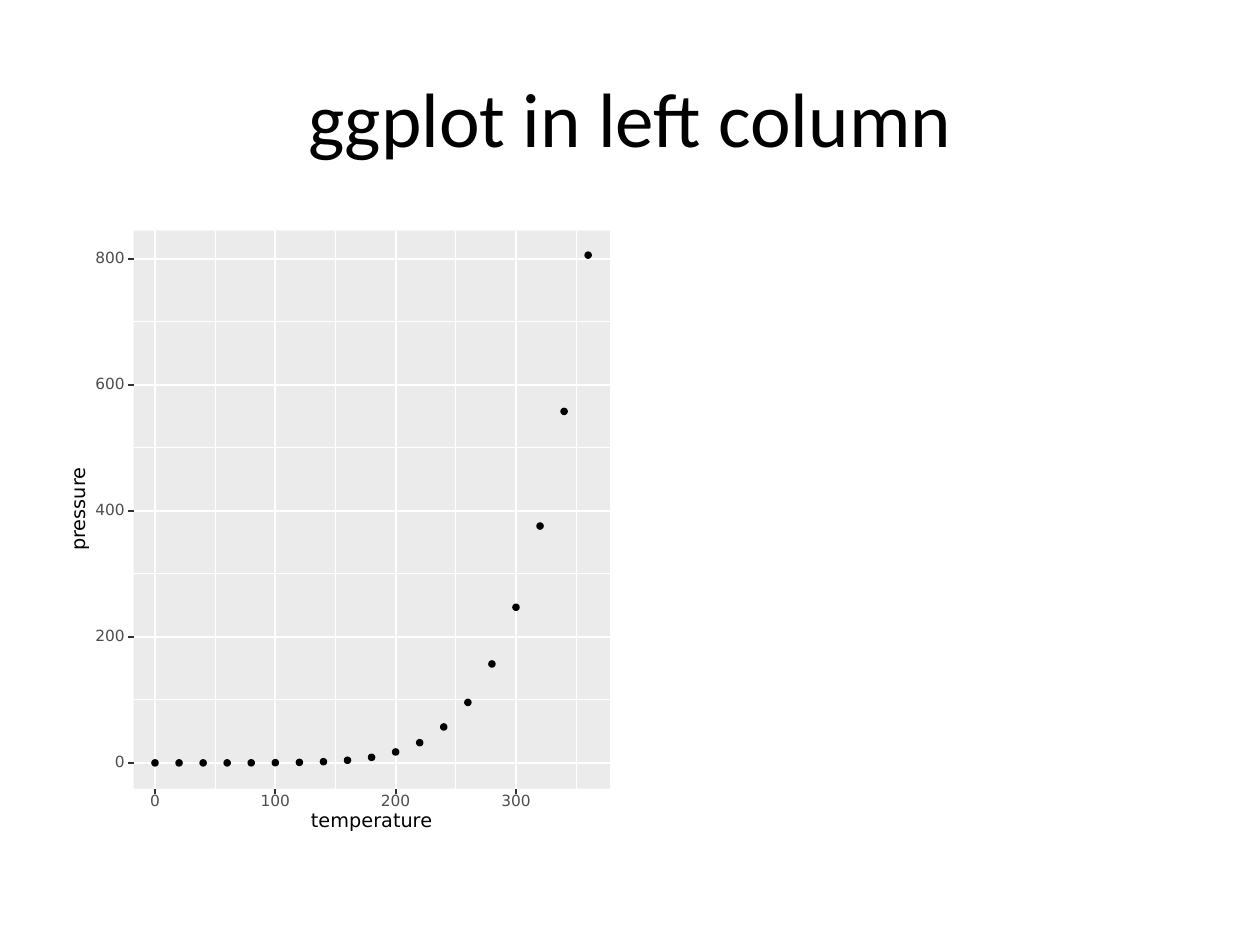
from dataclasses import dataclass

from pptx import Presentation, util as u
from pptx.dml.color import RGBColor
from pptx.enum import shapes, text
from pptx.oxml import parse_xml
from pptx.oxml.ns import nsdecls


@dataclass(frozen=True)
class Theme:
    black: str = "000000"
    white: str = "FFFFFF"
    panel: str = "EBEBEB"
    tick: str = "333333"
    label: str = "4D4D4D"
    head_font: str = "Calibri"
    plot_font: str = "DejaVu Sans"
    head_size: float = 44
    axis_size: float = 11
    label_size: float = 8.8
    major: float = 1.07
    minor: float = 0.53
    ring: float = 0.71


@dataclass(frozen=True)
class Box:
    left: float
    top: float
    width: float
    height: float

    @property
    def right(self) -> float:
        return self.left + self.width

    @property
    def base(self) -> float:
        return self.top + self.height

    def emu(self) -> list:
        return [u.Inches(n) for n in (self.left, self.top, self.width, self.height)]


THEME = Theme()
ALIGN = text.PP_ALIGN
FRAME = Box(0.5, 1.75, 4.42, 4.95)
PANEL = Box(1.06, 1.83, 3.78, 4.43)
TICK = 0.04
DOT = 0.05
DIGIT = 0.08
TEXT_H = 0.09

# Vapour pressure at every 20 degrees, from 0 to 360
STEP = 20
PRESSURE = [0, 0, 0, 0, 0.1, 0.3, 0.8, 1.9, 4.2, 8.8, 17.3, 32.1,
            57, 96, 157, 247, 376, 558, 806]


def x_at(temp: float) -> float:
    return 1.23 + temp * 0.955 / 100


def y_at(press: float) -> float:
    return 6.055 - press / 200


def color(code: str) -> RGBColor:
    return RGBColor.from_string(code)


def add_shape(group, kind, box: Box, fill: str, line: str = "",
              width: float = 0) -> None:
    item = group.shapes.add_shape(kind, *box.emu())
    item.shadow.inherit = False
    item.fill.solid()
    item.fill.fore_color.rgb = color(fill)
    if line:
        item.line.color.rgb = color(line)
        item.line.width = u.Pt(width)
    else:
        item.line.fill.background()


def add_line(group, x1: float, y1: float, x2: float, y2: float,
             hue: str, width: float) -> None:
    ends = [u.Inches(n) for n in (x1, y1, x2, y2)]
    line = group.shapes.add_connector(shapes.MSO_CONNECTOR.STRAIGHT, *ends)
    line.line.color.rgb = color(hue)
    line.line.width = u.Pt(width)
    line._element.spPr.append(parse_xml(f"<a:effectLst {nsdecls('a')}/>"))


def style(run, font: str, size: float, hue: str) -> None:
    run.font.name = font
    run.font.size = u.Pt(size)
    run.font.color.rgb = color(hue)


def add_text(group, words: str, box: Box, size: float, hue: str,
             align=ALIGN.CENTER, turn: int = 0) -> None:
    item = group.shapes.add_textbox(*box.emu())
    item.rotation = turn
    frame = item.text_frame
    frame.margin_left = frame.margin_right = 0
    frame.margin_top = frame.margin_bottom = 0
    frame.word_wrap = False
    frame.vertical_anchor = text.MSO_ANCHOR.MIDDLE
    frame.text = words
    para = frame.paragraphs[0]
    para.alignment = align
    para.line_spacing = u.Pt(size)
    style(para.runs[0], THEME.plot_font, size, hue)


def add_grid(group, temps, levels, width: float) -> None:
    for level in levels:
        y = y_at(level)
        add_line(group, PANEL.left, y, PANEL.right, y, THEME.white, width)
    for temp in temps:
        x = x_at(temp)
        add_line(group, x, PANEL.base, x, PANEL.top, THEME.white, width)


def add_title(slide) -> None:
    title = slide.shapes.title
    title.left, title.top, title.width, title.height = Box(0.5, 0.3, 9, 1.25).emu()
    frame = title.text_frame
    frame.text = "ggplot in left column"
    frame.vertical_anchor = text.MSO_ANCHOR.MIDDLE
    para = frame.paragraphs[0]
    para.alignment = ALIGN.CENTER
    style(para.runs[0], THEME.head_font, THEME.head_size, THEME.black)


def add_plot(slide) -> None:
    group = slide.shapes.add_group_shape()
    kinds = shapes.MSO_SHAPE
    temps, levels = range(0, 301, 100), range(0, 801, 200)

    # Background and grid
    add_shape(group, kinds.RECTANGLE, FRAME, THEME.white, THEME.white, THEME.major)
    add_shape(group, kinds.RECTANGLE, PANEL, THEME.panel)
    add_grid(group, range(50, 351, 100), range(100, 701, 200), THEME.minor)
    add_grid(group, temps, levels, THEME.major)

    # Data points
    for i, press in enumerate(PRESSURE):
        dot = Box(x_at(i * STEP) - DOT / 2, y_at(press) - DOT / 2, DOT, DOT)
        add_shape(group, kinds.OVAL, dot, THEME.black, THEME.black, THEME.ring)

    # Pressure axis
    for level in levels:
        y, wide = y_at(level), DIGIT * len(str(level))
        box = Box(0.99 - wide, y - TEXT_H / 2, wide, TEXT_H)
        add_text(group, str(level), box, THEME.label_size, THEME.label, ALIGN.RIGHT)
        add_line(group, PANEL.left - TICK, y, PANEL.left, y, THEME.tick, THEME.major)

    # Temperature axis
    for temp in temps:
        x, wide = x_at(temp), DIGIT * len(str(temp))
        add_line(group, x, PANEL.base + TICK, x, PANEL.base, THEME.tick, THEME.major)
        box = Box(x - wide / 2, 6.32, wide, TEXT_H)
        add_text(group, str(temp), box, THEME.label_size, THEME.label)

    # Axis titles, with room to stay on one line
    add_text(group, "temperature", Box(2.45, 6.45, 1, 0.14),
             THEME.axis_size, THEME.black)
    add_text(group, "pressure", Box(0.28, 3.98, 0.7, 0.12),
             THEME.axis_size, THEME.black, turn=270)


def main() -> None:
    deck = Presentation()
    deck.slide_width, deck.slide_height = u.Inches(10), u.Inches(7.5)
    slide = deck.slides.add_slide(deck.slide_layouts[5])
    add_title(slide)
    add_plot(slide)
    deck.save("out.pptx")


if __name__ == "__main__":
    main()
